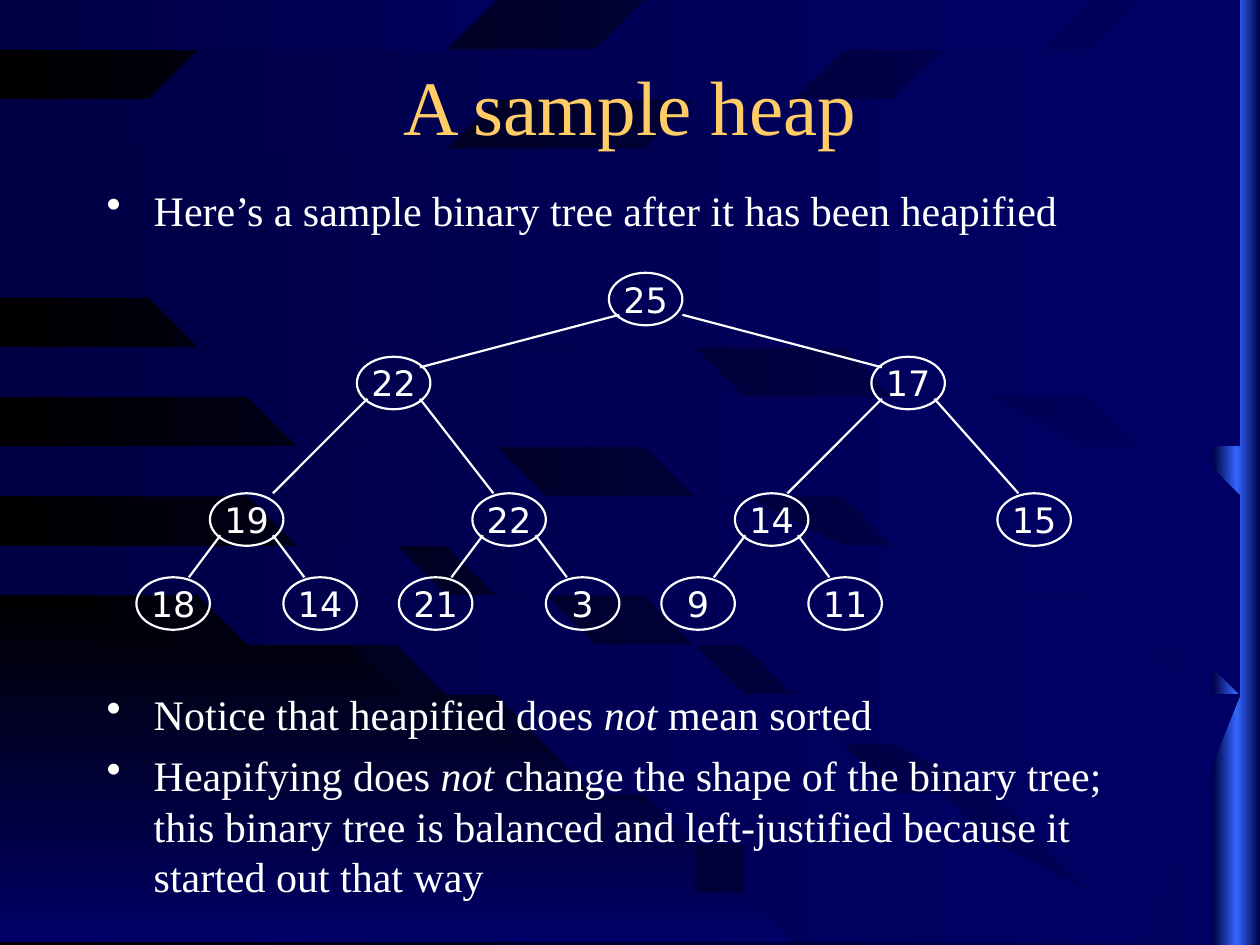
from copy import deepcopy

from lxml import etree
from pptx import Presentation
from pptx.dml.color import RGBColor
from pptx.enum.shapes import MSO_CONNECTOR, MSO_SHAPE
from pptx.enum.text import MSO_ANCHOR, PP_ALIGN
from pptx.oxml.ns import qn
from pptx.util import Cm, Pt

ELLIPSE, RECT = MSO_SHAPE.OVAL, MSO_SHAPE.RECTANGLE
STRAIGHT = MSO_CONNECTOR.STRAIGHT
MIDDLE, CENTER, LEFT = MSO_ANCHOR.MIDDLE, PP_ALIGN.CENTER, PP_ALIGN.LEFT

COLORS = {"black": "000000", "navy": "000044", "blue": "000066",
          "glow": "3366FF", "title": "FFCC66", "white": "FFFFFF"}
SERIF, SANS = "Times New Roman", "DejaVu Sans"
WIDTH, HEIGHT = 25.4, 19.05
GRID = 2.54 / 12  # cm per step of the tree's grid

# Background bands: upper and lower edge, each as (start y, end x, end y) in cm
BEND, STEPS = 2.4, 20
CORNER = ((12.47, 15.95, HEIGHT), (HEIGHT, 15.95, HEIGHT))
BANDS = [
    ((10.62, 22.68, 19), (12.12, 16.31, 19)),
    ((8.74, WIDTH, 14.22), (10.24, 23.09, 19)),
    ((6.83, WIDTH, 9.63), (8.38, WIDTH, 13.77)),
    ((4.98, WIDTH, 4.98), (6.48, WIDTH, 9.25)),
    ((3.25, WIDTH, -0.5), (4.62, WIDTH, 4.62)),
    ((1.55, 14.12, 0), (2.9, 23.29, 0)),
    ((0, 12.6, 0), (1.19, 12.6, 0)),
]

# Heap in array order: the children of item i are items 2i + 1 and 2i + 2
HEAP = [25, 22, 17, 19, 22, 14, 15, 18, 14, 21, 3, 9, 11]
UPPER_LEFTS = [45, 21, 70, 7, 32, 57, 82]
LEAF_LEFTS = [x + dx for x in UPPER_LEFTS[3:6] for dx in (-7, 7)]
ROW_TOPS = [0, 8, 21, 29]
NODE_W, NODE_H = 7, 5
EDGE_ENDS = {1: (6, 1), 2: (1, 1), 3: (6, 0)}  # where an edge meets its child


def rgb(name):
    return RGBColor.from_string(COLORS[name])


def set_gradient(fill, names, angle=0):
    """Linear gradient through evenly spaced colours."""
    fill.gradient()
    fill.gradient_angle = angle
    stops = fill.gradient_stops
    if len(names) == 3:
        first = stops[0]._gs
        first.addnext(deepcopy(first))
        stops = fill.gradient_stops
    for i, (stop, name) in enumerate(zip(stops, names)):
        stop.color.rgb = rgb(name)
        stop.position = i / (len(names) - 1)


def write(p, text, size, font=SERIF, color="white", align=LEFT):
    """Fill a paragraph; parts between asterisks are italic."""
    p.alignment = align
    for i, part in enumerate(text.split("*")):
        r = p.add_run()
        r.text = part
        r.font.size, r.font.name = Pt(size), font
        r.font.color.rgb = rgb(color)
        r.font.italic = i % 2 == 1


def curve(start_y, end_x, end_y):
    """Points of an edge that starts level and bends ever more steeply."""
    shares = [i / STEPS for i in range(STEPS + 1)]
    return [(t * end_x, max(0, start_y + (end_y - start_y) * t ** BEND)) for t in shares]


def add_band(slide, upper, lower, names, angle=0):
    points = curve(*upper) + curve(*lower)[::-1]
    builder = slide.shapes.build_freeform(*points[0], scale=Cm(1))
    builder.add_line_segments(points[1:], close=True)
    sp = builder.convert_to_shape()
    sp.shadow.inherit = False
    sp.line.fill.background()
    set_gradient(sp.fill, names, angle)


def add_backdrop(slide):
    set_gradient(slide.background.fill, ["black", "blue"])
    strip_w = 0.94
    strip = slide.shapes.add_shape(RECT, Cm(WIDTH - strip_w), 0, Cm(strip_w), Cm(HEIGHT))
    strip.shadow.inherit = False
    strip.line.fill.background()
    set_gradient(strip.fill, ["navy", "glow", "navy"])
    add_band(slide, *CORNER, ["black", "blue"], angle=270)
    for upper, lower in BANDS:
        add_band(slide, upper, lower, ["navy", "blue"])


def add_title(slide, text, left, top, width, height):
    title = slide.shapes.title
    title.left, title.top, title.width, title.height = map(Cm, (left, top, width, height))
    title.text_frame.vertical_anchor = MIDDLE
    write(title.text_frame.paragraphs[0], text, 44, color="title", align=CENTER)
    slide.shapes._spTree.append(title._element)  # in front of the backdrop


def add_bullets(slide, items, left, top, width, height):
    tf = slide.shapes.add_textbox(Cm(left), Cm(top), Cm(width), Cm(height)).text_frame
    tf.word_wrap = True
    for i, item in enumerate(items):
        p = tf.add_paragraph() if i else tf.paragraphs[0]
        write(p, item, 24)
        p.space_before = Pt(6)
        pPr = p._p.get_or_add_pPr()
        pPr.set("marL", str(Cm(0.95)))
        pPr.set("indent", str(-Cm(0.95)))
        etree.SubElement(pPr, qn("a:buChar"), char="•")


def add_node(slide, value, left, top):
    sp = slide.shapes.add_shape(ELLIPSE, Cm(left), Cm(top), Cm(NODE_W * GRID), Cm(NODE_H * GRID))
    sp.shadow.inherit = False
    sp.fill.background()
    sp.line.color.rgb, sp.line.width = rgb("white"), Pt(1.25)
    tf = sp.text_frame
    tf.word_wrap, tf.vertical_anchor = False, MIDDLE
    write(tf.paragraphs[0], str(value), 20, font=SANS, align=CENTER)


def add_edge(slide, *ends):
    line = slide.shapes.add_connector(STRAIGHT, *map(Cm, ends))
    line.line.color.rgb, line.line.width = rgb("white"), Pt(1.25)
    etree.SubElement(line._element.spPr, qn("a:effectLst"))


def add_tree(slide, left, top):
    corners = [(x, ROW_TOPS[(i + 1).bit_length() - 1])
               for i, x in enumerate(UPPER_LEFTS + LEAF_LEFTS)]
    for i, (value, (x, y)) in enumerate(zip(HEAP, corners)):
        add_node(slide, value, left + x * GRID, top + y * GRID)
        if i == 0:
            continue
        parent_x, parent_y = corners[(i - 1) // 2]
        is_left = i % 2 == 1
        start_dx = 1 if is_left else 7 if i == 2 else 6
        end_dx, end_dy = EDGE_ENDS.get(i, (5 if is_left else 2, 0))
        add_edge(slide, left + (parent_x + start_dx) * GRID, top + (parent_y + 4) * GRID,
                 left + (x + end_dx) * GRID, top + (y + end_dy) * GRID)


def main():
    prs = Presentation()
    prs.slide_width, prs.slide_height = Cm(WIDTH), Cm(HEIGHT)
    slide = prs.slides.add_slide(prs.slide_layouts[5])
    add_backdrop(slide)
    add_title(slide, "A sample heap", 0.85, 1.06, 23.7, 2.12)
    add_bullets(slide, ["Here’s a sample binary tree after it has been heapified"],
                1.9, 3.6, 21.6, 2.12)
    add_bullets(slide, ["Notice that heapified does *not* mean sorted",
                        "Heapifying does *not* change the shape of the binary tree; this binary "
                        "tree is balanced and left-justified because it started out that way"],
                1.9, 13.76, 21.6, 4.66)
    add_tree(slide, 2.75, 5.5)
    prs.save("out.pptx")


if __name__ == "__main__":
    main()
